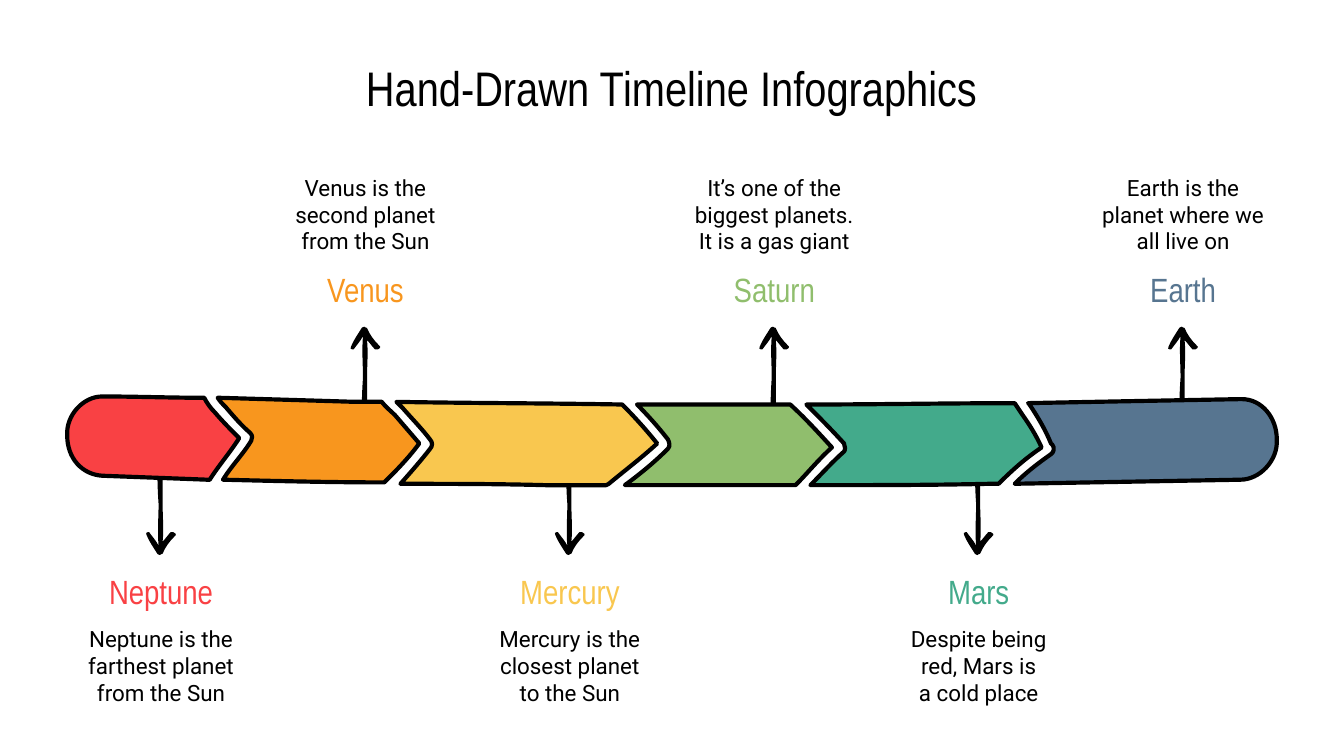
import dataclasses

import lxml.etree
import pptx
import pptx.dml.color
import pptx.enum.text
import pptx.oxml.ns
import pptx.util

Pt = pptx.util.Pt
ANCHOR = pptx.enum.text.MSO_ANCHOR
qn = pptx.oxml.ns.qn

GRID = 0.72  # points in one unit of the outlines below
COLUMN_STEP = 109.5
TEXT_LEFT, TEXT_WIDTH = 34.1, 104.4
NAME_HEIGHT, DESCRIPTION_HEIGHT = 29.5, 54.7
ARROW_LEFT, ARROW_HEIGHT = 77.76, 78

# Outlines: a pair is a straight line's end, six numbers are a Bézier curve.
ARROW = [
    (11, 0), (10, 0, 9, 1, 9, 1), (6, 6, 3, 10, 1, 15), (0, 16, 1, 17, 2, 17),
    (2, 17, 3, 17, 3, 17), (5, 14, 8, 11, 10, 7), (10, 7),
    (9, 18, 10, 28, 10, 38), (9, 51, 9, 64, 9, 77), (10, 78, 10, 78, 11, 78),
    (12, 78, 13, 78, 13, 77), (13, 64, 13, 51, 13, 38), (13, 29, 14, 19, 13, 10),
    (13, 10), (15, 12, 17, 15, 19, 17), (20, 17, 20, 17, 21, 17),
    (22, 17, 24, 15, 22, 14), (18, 10, 15, 6, 13, 1), (12, 1, 11, 0, 11, 0),
]
NEPTUNE = [
    (76, 295), (62, 295, 49, 309, 50, 324), (50, 341, 61, 353, 76, 354),
    (103, 355, 130, 356, 156, 357), (163, 346, 171, 337, 178, 326),
    (172, 320, 166, 314, 160, 307), (157, 304, 154, 300, 152, 296),
    (127, 296, 101, 295, 76, 295), (76, 295, 76, 295, 76, 295),
]
VENUS = [
    (162, 296), (164, 299, 166, 301, 168, 303), (174, 310, 180, 317, 186, 322),
    (188, 324, 188, 326, 187, 328), (181, 338, 172, 347, 166, 357),
    (206, 358, 246, 359, 286, 359), (295, 350, 304, 341, 312, 330),
    (306, 323, 300, 316, 294, 309), (291, 306, 287, 303, 284, 299),
    (262, 299), (229, 298, 195, 297, 162, 296),
]
MERCURY = [
    (295, 299), (295, 299), (297, 301, 299, 303, 300, 304),
    (307, 312, 314, 319, 320, 327), (322, 329, 322, 332, 320, 334),
    (313, 343, 306, 351, 298, 360), (334, 360, 370, 360, 407, 361),
    (422, 361, 437, 361, 451, 361), (452, 360, 452, 360, 453, 360),
    (465, 350, 477, 341, 489, 330), (481, 320, 472, 310, 463, 301),
    (407, 300, 351, 300, 295, 299),
]
MARS = [
    (755, 300), (703, 300, 652, 301, 600, 301), (609, 310, 619, 320, 628, 330),
    (629, 332, 629, 335, 628, 336), (619, 344, 611, 353, 603, 361),
    (648, 361, 693, 361, 737, 360), (743, 360),
    (753, 350, 763, 341, 775, 333), (771, 324, 766, 316, 761, 309),
    (759, 306, 757, 303, 755, 300),
]
SATURN = [
    (474, 301), (474, 301), (482, 309, 490, 318, 497, 327),
    (498, 329, 499, 332, 497, 334), (487, 344, 476, 353, 465, 361),
    (492, 361, 518, 361, 545, 361), (561, 361, 576, 361, 592, 361),
    (601, 352, 609, 342, 619, 333), (609, 322, 599, 311, 588, 301),
    (577, 301, 566, 301, 555, 301), (528, 301, 501, 301, 474, 301),
]
EARTH = [
    (924, 297), (924, 297, 923, 297, 923, 297), (870, 298, 817, 299, 765, 300),
    (766, 301), (772, 310, 778, 320, 782, 330), (783, 330, 783, 331, 783, 331),
    (785, 333, 784, 337, 782, 338), (772, 345, 763, 352, 755, 360),
    (811, 359, 867, 358, 923, 357), (937, 357, 951, 343, 950, 327),
    (950, 311, 939, 297, 924, 297),
]


@dataclasses.dataclass(frozen=True)
class Theme:
    heading_font: str = "Arial Narrow"
    body_font: str = "Roboto"
    title_size: float = 26
    name_size: float = 18
    description_size: float = 12
    ink: str = "000000"
    outline_width: float = 2.25
    red: str = "F94144"
    orange: str = "F8961E"
    yellow: str = "F9C74F"
    green: str = "90BE6D"
    teal: str = "43AA8B"
    blue: str = "577590"


def rgb(color):
    return pptx.dml.color.RGBColor.from_string(color)


def write_text(frame, text, *, font, size, color, anchor):
    """Fill a text frame with centred text, one paragraph per line."""
    frame.word_wrap = True
    frame.auto_size = pptx.enum.text.MSO_AUTO_SIZE.NONE
    frame.vertical_anchor = anchor
    frame.margin_left = frame.margin_right = Pt(7.2)
    frame.margin_top = frame.margin_bottom = Pt(7.2)
    frame.text = text
    for paragraph in frame.paragraphs:
        paragraph.alignment = pptx.enum.text.PP_ALIGN.CENTER
        run_font = paragraph.runs[0].font
        run_font.name, run_font.size = font, Pt(size)
        run_font.color.rgb = rgb(color)


def flip(outline):
    """Turn the arrow outline upside down."""
    return [tuple(ARROW_HEIGHT - value if index % 2 else value
                  for index, value in enumerate(segment)) for segment in outline]


def bend(shape, segments):
    """Make the shape's straight segments into curves where they have controls."""
    lines = list(shape._element.iter(qn("a:lnTo")))
    for line, segment in zip(lines, segments):
        if len(segment) == 1:
            continue
        line.tag = qn("a:cubicBezTo")
        for index, (x, y) in enumerate(segment[:2]):
            control = line.makeelement(
                qn("a:pt"), {"x": str(x - shape.left), "y": str(y - shape.top)})
            line.insert(index, control)


class TimelineSlide:
    def __init__(self, slide, theme):
        self.slide = slide
        self.theme = theme

    def title(self, text):
        shape = self.slide.shapes.title
        shape.left, shape.top = Pt(36), Pt(24)
        shape.width, shape.height = Pt(648), Pt(45)
        write_text(shape.text_frame, text, font=self.theme.heading_font,
                   size=self.theme.title_size, color=self.theme.ink, anchor=ANCHOR.TOP)

    def text(self, shapes, text, left, top, height, **text_format):
        shape = shapes.add_textbox(Pt(left), Pt(top), Pt(TEXT_WIDTH), Pt(height))
        write_text(shape.text_frame, text, anchor=ANCHOR.MIDDLE, **text_format)

    def outline(self, shapes, outline, color, left=0, top=0, outlined=False):
        segments = [
            [(Pt(left + x * GRID), Pt(top + y * GRID))
             for x, y in zip(segment[::2], segment[1::2])] for segment in outline]
        builder = shapes.build_freeform(*segments[0][0])
        builder.add_line_segments([segment[-1] for segment in segments[1:]], close=True)
        shape = builder.convert_to_shape()
        bend(shape, segments[1:])
        shape.shadow.inherit = False
        shape.fill.solid()
        shape.fill.fore_color.rgb = rgb(color)
        if outlined:
            shape.line.color.rgb = rgb(self.theme.ink)
            shape.line.width = Pt(self.theme.outline_width)
            lxml.etree.SubElement(shape.line._get_or_add_ln(), qn("a:round"))
        else:
            shape.line.fill.background()

    def milestone(self, column, name, description, color, segment):
        """Group a band segment with its arrow and texts; odd columns point up."""
        shapes = self.slide.shapes.add_group_shape().shapes
        offset = column * COLUMN_STEP
        if column % 2:
            arrow, arrow_top, name_top, description_top = ARROW, 175, 140.1, 87.4
        else:
            arrow, arrow_top, name_top, description_top = flip(ARROW), 241.2, 301.7, 329.3
        self.outline(shapes, arrow, self.theme.ink, ARROW_LEFT + offset, arrow_top)
        self.outline(shapes, segment, color, outlined=True)
        left = TEXT_LEFT + offset
        self.text(shapes, name, left, name_top, NAME_HEIGHT,
                  font=self.theme.heading_font, size=self.theme.name_size, color=color)
        self.text(shapes, description, left, description_top, DESCRIPTION_HEIGHT,
                  font=self.theme.body_font, size=self.theme.description_size,
                  color=self.theme.ink)


def main():
    presentation = pptx.Presentation()
    presentation.slide_width, presentation.slide_height = Pt(720), Pt(405)
    theme = Theme()
    slide = presentation.slides.add_slide(presentation.slide_layouts[5])
    timeline = TimelineSlide(slide, theme)
    timeline.title("Hand-Drawn Timeline Infographics")
    milestones = [
        (0, "Neptune", "Neptune is the farthest planet\nfrom the Sun", theme.red, NEPTUNE),
        (1, "Venus", "Venus is the second planet from the Sun", theme.orange, VENUS),
        (2, "Mercury", "Mercury is the closest planet\nto the Sun", theme.yellow, MERCURY),
        (4, "Mars", "Despite being red, Mars is\na cold place", theme.teal, MARS),
        (3, "Saturn", "It’s one of the biggest planets. It is a gas giant",
         theme.green, SATURN),
        (5, "Earth", "Earth is the planet where we all live on", theme.blue, EARTH),
    ]
    for milestone in milestones:
        timeline.milestone(*milestone)
    presentation.save("out.pptx")


if __name__ == "__main__":
    main()
